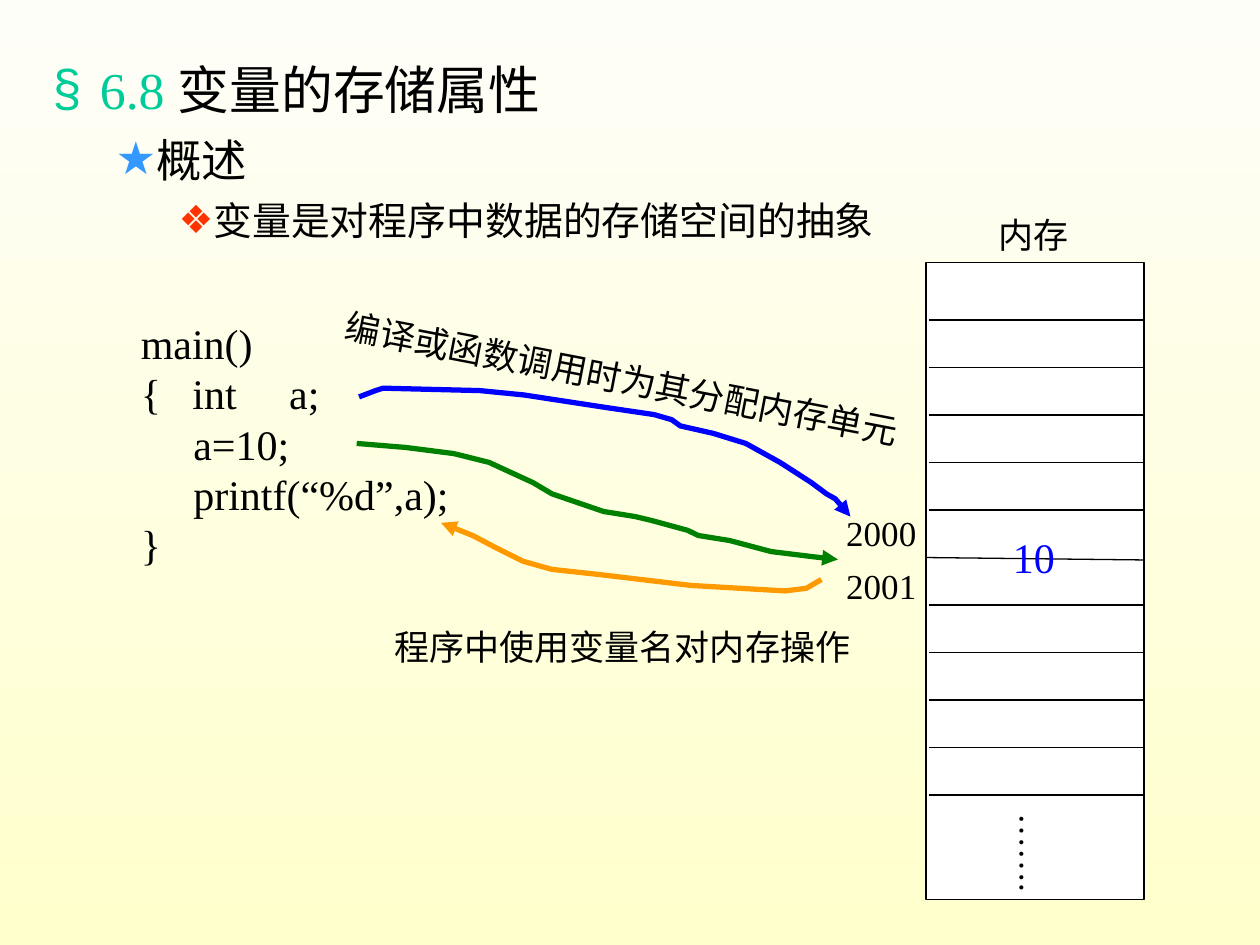
"""Build a slide on variable storage, with a memory column and code arrows."""
import pptx
import pptx.dml.color
import pptx.enum.shapes
import pptx.enum.text
import pptx.oxml
import pptx.oxml.ns
import pptx.util
import lxml.etree

Pt = pptx.util.Pt
RGB = pptx.dml.color.RGBColor.from_string
ALIGN = pptx.enum.text.PP_ALIGN
ANCHOR = pptx.enum.text.MSO_ANCHOR
FIT = pptx.enum.text.MSO_AUTO_SIZE
qn = pptx.oxml.ns.qn

THEME = {
    "font": "Times New Roman", "bullet_font": "Arial",
    "ink": "000000", "paper": "FFFFFF", "top": "FEFEF8", "bottom": "FFFFCC",
    "section": "00CC99", "star": "3399FF", "diamond": "FF3300",
    "allocate": "0000FF", "assign": "008000", "read": "FF9900",
    "title": 29.6, "topic": 25.9, "point": 22.2, "code": 24, "label": 20,
    "rule": 0.75, "arrow": 3,
}


def add_run(paragraph, text, size, color="ink"):
    run = paragraph.add_run()
    run.text = text
    formats = {"name": THEME["font"], "size": Pt(THEME[size])}
    for name, value in formats.items():
        setattr(run.font, name, value)
    run.font.color.rgb = RGB(THEME[color])


def add_text(box, lines, size, color="ink", align=ALIGN.CENTER):
    area = slide.shapes.add_textbox(*map(Pt, box))
    formats = {
        "word_wrap": False,
        "auto_size": FIT.SHAPE_TO_FIT_TEXT,
        "vertical_anchor": ANCHOR.MIDDLE,
    }
    for name, value in formats.items():
        setattr(area.text_frame, name, value)
    for index, line in enumerate(lines):
        paragraph = area.text_frame.paragraphs[0] if index == 0 else area.text_frame.add_paragraph()
        paragraph.alignment = align
        add_run(paragraph, line, size, color)
    return area


deck = pptx.Presentation()
deck.slide_width, deck.slide_height = Pt(720), Pt(540)
slide = deck.slides.add_slide(deck.slide_layouts[6])

backdrop = slide.background.fill
backdrop.gradient()
backdrop.gradient_angle = 270
for stop, position, shade in zip(backdrop.gradient_stops, (0, 1), ("top", "bottom")):
    stop.position = position
    stop.color.rgb = RGB(THEME[shade])

outline = slide.shapes.add_textbox(Pt(23), Pt(29.2), Pt(666), Pt(118)).text_frame
outline.word_wrap = True
OUTLINE = [
    ("§", "section", 27, 27, 0, "title", [("6.8 ", "section"), ("变量的存储属性", "ink")]),
    ("★", "star", 58.5, 22.5, 7, "topic", [("概述", "ink")]),
    ("❖", "diamond", 90, 18, 6, "point", [("变量是对程序中数据的存储空间的抽象", "ink")]),
]
for index, (mark, mark_color, margin, hang, before, size, parts) in enumerate(OUTLINE):
    entry = outline.paragraphs[0] if index == 0 else outline.add_paragraph()
    entry.level = index
    properties = entry._p.get_or_add_pPr()
    properties.set("marL", str(Pt(margin)))
    properties.set("indent", str(-Pt(hang)))
    bullet_color = lxml.etree.SubElement(properties, qn("a:buClr"))
    lxml.etree.SubElement(bullet_color, qn("a:srgbClr"), val=THEME[mark_color])
    lxml.etree.SubElement(properties, qn("a:buFont"), typeface=THEME["bullet_font"])
    lxml.etree.SubElement(properties, qn("a:buChar"), char=mark)
    if before:
        entry.space_before = Pt(before)
    for text, color in parts:
        add_run(entry, text, size, color)

memory = slide.shapes.add_shape(
    pptx.enum.shapes.MSO_SHAPE.RECTANGLE, Pt(529.2), Pt(149.8), Pt(124.6), Pt(364.4))
memory.shadow.inherit = False
memory.fill.solid()
memory.fill.fore_color.rgb = RGB(THEME["paper"])
memory.line.color.rgb = RGB(THEME["ink"])
memory.line.width = Pt(THEME["rule"])

SLANTED_ROW = 5
for row in range(11):
    y = 182.9 + 27.14 * row
    left, drop = (529.2, 1.4) if row == SLANTED_ROW else (530.6, 0)
    divider = slide.shapes.add_connector(
        pptx.enum.shapes.MSO_CONNECTOR.STRAIGHT, Pt(left), Pt(y), Pt(653.8), Pt(y + drop))
    divider.line.color.rgb = RGB(THEME["ink"])
    divider.line.width = Pt(THEME["rule"])
    lxml.etree.SubElement(divider._element.spPr, qn("a:effectLst"))

add_text((562.8, 118.1, 56, 31.7), ["内存"], "label")
more_cells = add_text((571.7, 457.9, 38.2, 52.6), ["……."], "label").text_frame
more_cells._txBody.bodyPr.set("vert", "eaVert")
insets = {"margin_left": 3.6, "margin_right": 3.6, "margin_top": 7.2, "margin_bottom": 7.2}
for name, value in insets.items():
    setattr(more_cells, name, Pt(value))

CODE = ["main()", "{   int     a;", "     a=10;", "     printf(“%d”,a);", "}"]
add_text((73.4, 177.8, 192, 151.2), CODE, "code", align=ALIGN.LEFT)
allocation = add_text((187.9, 200.2, 334.8, 31.7), ["编译或函数调用时为其分配内存单元"], "label")
allocation.rotation = 10.9
add_text((570.7, 300.2, 40.2, 36), ["10"], "code", "allocate")
for address, y in (("2000", 288.7), ("2001", 319)):
    add_text((475.6, y, 56, 31.7), [address], "label")
add_text((217.2, 353.5, 277, 31.7), ["程序中使用变量名对内存操作"], "label")

ARROWS = {
    "allocate": [
        (205.2, 226.8), (214.6, 223.2), (218.9, 221.8), (274.3, 223.2), (299.5, 225.7),
        (324.3, 229.5), (349.2, 233.3), (373.7, 236.9), (383.8, 239.8), (388.8, 243.4),
        (407.5, 247.6), (426.2, 253.4), (445.7, 264.2), (463.7, 275.8), (472.3, 282.2),
        (477.4, 285.1), (486, 295.2)],
    "assign": [
        (203.8, 253.4), (231.8, 255.7), (259.2, 259.2), (279.4, 264.2), (304.6, 275.8),
        (315.4, 282.2), (344.9, 292.3), (362.9, 295.2), (372.2, 297.4), (393.1, 303.1),
        (398.9, 306), (416.9, 308.9), (440.7, 315.2), (465.1, 318.2), (478.8, 319.7)],
    "read": [
        (469.4, 331.2), (460.8, 336.2), (448.6, 337.7), (395, 334.6), (342, 328.3),
        (315.4, 325.4), (298.7, 320.7), (283.7, 313.2), (270, 306), (252, 298.8)],
}
for color, route in ARROWS.items():
    points = [(Pt(x), Pt(y)) for x, y in route]
    builder = slide.shapes.build_freeform(*points[0])
    builder.add_line_segments(points[1:], close=False)
    arrow = builder.convert_to_shape()
    arrow.shadow.inherit = False
    arrow.fill.background()
    arrow.line.color.rgb = RGB(THEME[color])
    arrow.line.width = Pt(THEME["arrow"])
    stroke = arrow.line._get_or_add_ln()
    lxml.etree.SubElement(stroke, qn("a:round"))
    lxml.etree.SubElement(stroke, qn("a:tailEnd"), type="triangle")

deck.save("out.pptx")
